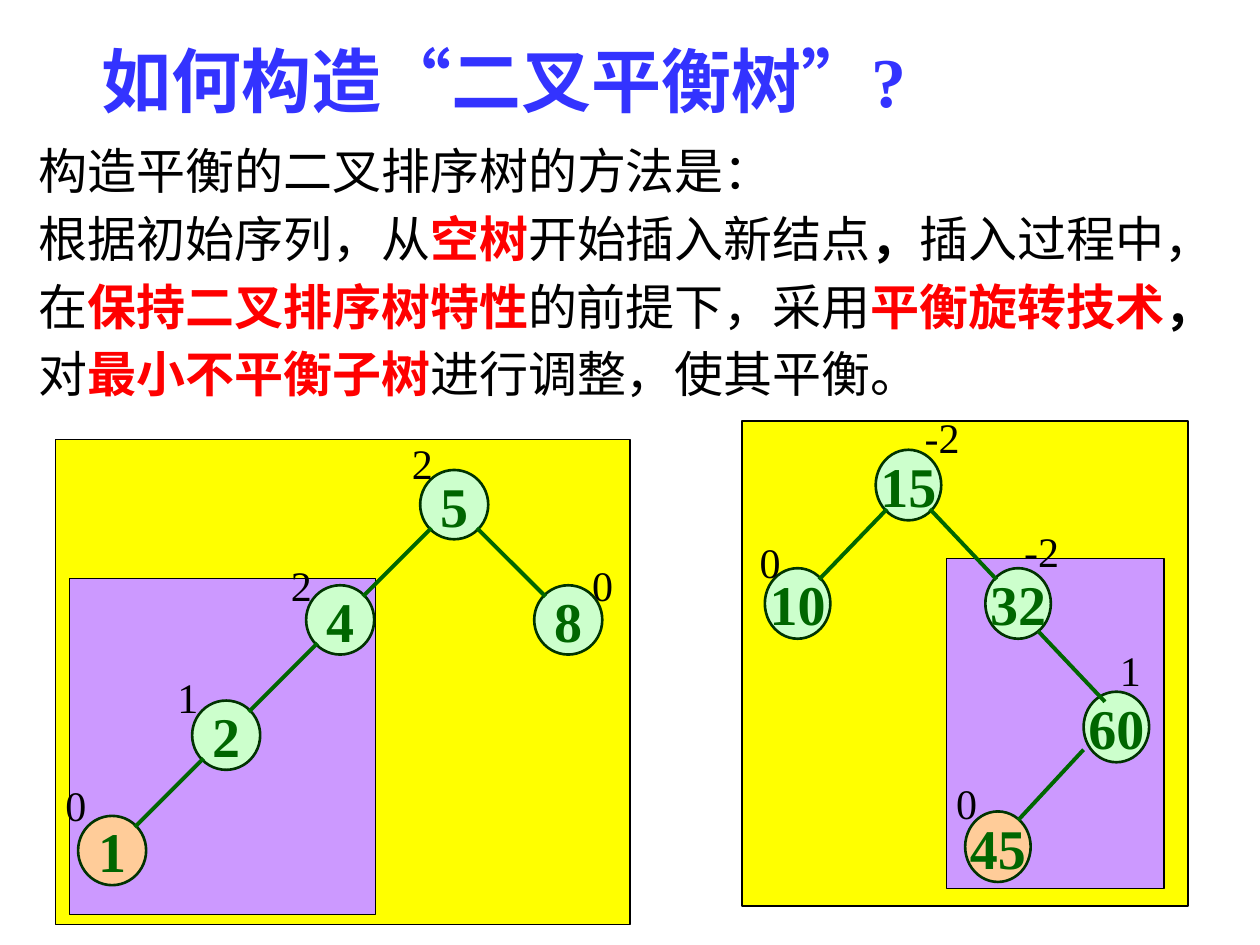
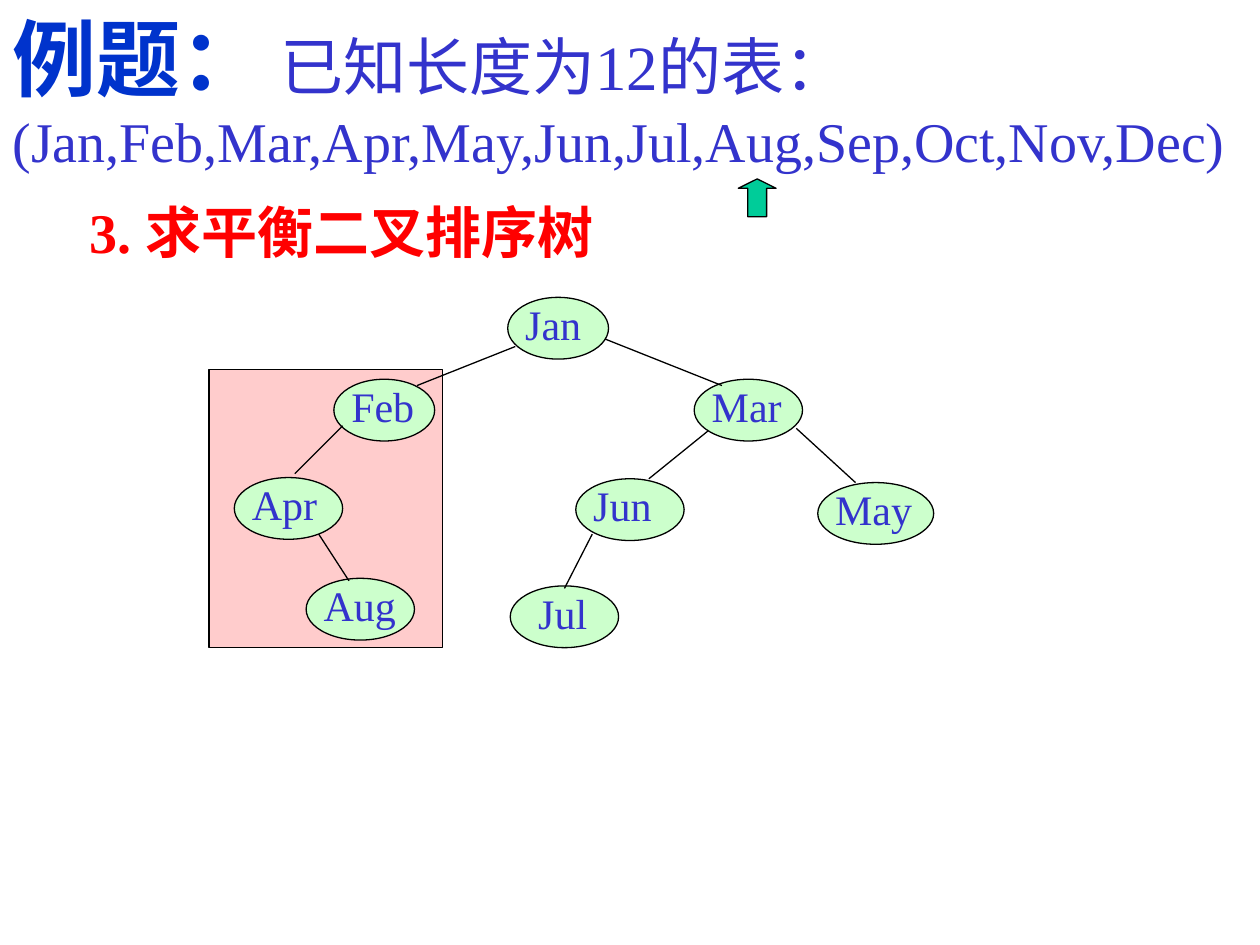
from pptx import Presentation
from pptx.util import Cm, Pt
from pptx.dml.color import RGBColor
from pptx.enum.shapes import MSO_SHAPE as Shape, MSO_CONNECTOR as Link
from pptx.enum.text import PP_ALIGN as Align, MSO_ANCHOR as Anchor, MSO_AUTO_SIZE as Auto
from pptx.oxml.ns import qn
from lxml.etree import SubElement

FONT = "Times New Roman"
HEX = {
    "black": "000000", "red": "FF0000", "title": "3333FF", "text": "3333CC",
    "head": "0033CC", "yellow": "FFFF00", "purple": "CC99FF", "pink": "FFCCCC",
    "node": "CCFFCC", "new": "FFCC99", "rim": "003300", "green": "006600",
    "arrow": "00CC99",
}

# Content, places in inches. A run is (text, size, colour, bold).
TITLE = [[("如何构造“二叉平衡树”?", 40, "title", True)]]
BODY = [
    [("构造平衡的二叉排序树的方法是：", 28, "black", False)],
    [(text, 28, tone, bold) for text, tone, bold in [
        ("根据初始序列，从", "black", False),
        ("空树", "red", True),
        ("开始插入新结点", "black", False),
        ("，", "black", True),
        ("插入过程中，在", "black", False),
        ("保持二叉排序树特性", "red", True),
        ("的前提下，采用", "black", False),
        ("平衡旋转技术", "red", True),
        ("，", "black", True),
        ("对", "black", False),
        ("最小不平衡子树", "red", True),
        ("进行调整，使其平衡。", "black", False),
    ]],
]
PANELS = [
    ("yellow", 5.89, 3.34, 3.54, 3.85), ("yellow", 0.44, 3.49, 4.56, 3.85),
    ("purple", 7.51, 4.43, 1.73, 2.62), ("purple", 0.55, 4.59, 2.43, 2.67),
]
# Node: key -> left, top, balance factor and its place
COL = [0.62 + 0.905 * i for i in range(5)]
ROW = [3.73 + 0.915 * i for i in range(4)]
TREES = [
    {"size": (0.54, 0.55), "new": "1", "label": 0.49,
     "nodes": {"5": (COL[3], ROW[0], "2", 3.17, 3.42),
               "4": (COL[2], ROW[1], "2", 2.21, 4.39),
               "8": (COL[4], ROW[1], "0", 4.6, 4.39),
               "2": (COL[1], ROW[2], "1", 1.31, 5.28),
               "1": (COL[0], ROW[3], "0", 0.42, 6.14)},
     "edges": [("5", "4"), ("5", "8"), ("4", "2"), ("2", "1")], "lines": []},
    {"size": (0.52, 0.56), "new": "45", "label": 0.51,
     "nodes": {"15": (6.95, 3.57, "-2", 7.24, 3.22),
               "10": (6.07, 4.51, "0", 5.93, 4.21),
               "32": (7.82, 4.51, "-2", 8.03, 4.12),
               "60": (8.6, 5.49, "1", 8.79, 5.07),
               "45": (7.66, 6.44, "0", 7.49, 6.12)},
     "edges": [("15", "10"), ("15", "32")],
     "lines": [(8.24, 5.01, 8.77, 5.57), (8.6, 5.95, 8.08, 6.51)]},
]

TASK = [
    [("例题：", 48, "head", True), (" ", 40, "black", False),
     ("已知长度为12的表：", 36, "text", False)],
    [("(Jan,Feb,Mar,Apr,May,Jun,Jul,Aug,Sep,Oct,Nov,Dec)", 32, "text", False)],
]
STEP = [[("3. 求平衡二叉排序树", 32, "red", True)]]
MONTHS = [
    ("Jan", 4.03, 2.36, 0.8), ("Feb", 2.65, 3.01, 0.8),
    ("Mar", 5.51, 3.01, 0.86), ("Apr", 1.86, 3.79, 0.86),
    ("May", 6.49, 3.83, 0.92), ("Jun", 4.57, 3.8, 0.86),
    (" Jul", 4.05, 4.65, 0.86), ("Aug", 2.43, 4.59, 0.86),
]
BRANCHES = [
    (4.09, 2.75, 3.31, 3.06), (4.8, 2.69, 5.73, 3.06),
    (2.72, 3.38, 2.34, 3.76), (6.32, 3.4, 6.79, 3.83),
    (5.62, 3.42, 5.15, 3.8), (4.7, 4.24, 4.48, 4.67),
    (2.53, 4.24, 2.77, 4.61),
]


# Helpers
def place(*nums):
    return [Cm(2.54 * n) for n in nums]


def tone(name):
    return RGBColor.from_string(HEX[name])


def write(frame, paras, lead=None, align=None):
    for i, runs in enumerate(paras):
        para = frame.paragraphs[0] if i == 0 else frame.add_paragraph()
        para.line_spacing, para.alignment = lead, align
        for text, size, hue, bold in runs:
            run = para.add_run()
            run.text = text
            font = run.font
            font.name, font.size, font.bold = FONT, Pt(size), bold
            font.color.rgb = tone(hue)


def add_text(slide, paras, at, lead=None, grow=True):
    frame = slide.shapes.add_textbox(*place(*at)).text_frame
    frame.word_wrap = True
    frame.auto_size = Auto.SHAPE_TO_FIT_TEXT if grow else Auto.NONE
    write(frame, paras, lead)


def add_form(slide, kind, at, fill, rim="black", width=0.75):
    form = slide.shapes.add_shape(kind, *place(*at))
    form.shadow.inherit = False
    form.fill.solid()
    form.fill.fore_color.rgb = tone(fill)
    form.line.color.rgb = tone(rim)
    form.line.width = Pt(width)
    return form


def add_line(slide, ends, hue="black", width=0.75):
    line = slide.shapes.add_connector(Link.STRAIGHT, *place(*ends))
    line.line.color.rgb = tone(hue)
    line.line.width = Pt(width)
    SubElement(line._element.spPr, qn("a:effectLst"))


def add_tree(slide, tree):
    wide, high = tree["size"]
    nodes = tree["nodes"]
    for key, (x, y, *_) in nodes.items():
        fill = "new" if key == tree["new"] else "node"
        form = add_form(slide, Shape.OVAL, (x, y, wide, high), fill, "rim", 1.5)
        frame = form.text_frame
        frame.word_wrap = False
        frame.vertical_anchor = Anchor.MIDDLE
        write(frame, [[(key, 32, "green", True)]], align=Align.CENTER)
    # An edge leaves and enters a node a set way in from its box
    near, far, edge = 0.09, wide - 0.09, high - 0.09
    lines = list(tree["lines"])
    for top, low in tree["edges"]:
        (x1, y1), (x2, y2) = nodes[top][:2], nodes[low][:2]
        out, into = (near, far) if x2 < x1 else (far, near)
        lines.append((x1 + out, y1 + edge, x2 + into, y2 + 0.09))
    for ends in lines:
        add_line(slide, ends, "green", 2.25)
    for _, _, mark, x, y in nodes.values():
        add_text(slide, [[(mark, 24, "black", False)]], (x, y, tree["label"], 0.5))


deck = Presentation()
deck.slide_width, deck.slide_height = place(10, 7.5)
blank = deck.slide_layouts[6]

# Slide 1: building a balanced tree
slide = deck.slides.add_slide(blank)
for fill, *at in PANELS:
    add_form(slide, Shape.RECTANGLE, at, fill)
add_text(slide, BODY, (0.21, 1, 9.66, 2.27), lead=1.15)
add_text(slide, TITLE, (0.71, 0.25, 7.5, 0.83), grow=False)
for tree in TREES:
    add_tree(slide, tree)

# Slide 2: the months example
slide = deck.slides.add_slide(blank)
add_form(slide, Shape.RECTANGLE, (1.66, 2.93, 1.85, 2.21), "pink")
add_text(slide, TASK, (0, 0, 10, 1.43))
for name, x, y, wide in MONTHS:
    add_form(slide, Shape.OVAL, (x, y, wide, 0.49), "node")
    add_text(slide, [[(name, 24, "text", False)]],
             (x + 0.04, y - 0.04, wide - 0.07, 0.5))
for ends in BRANCHES:
    add_line(slide, ends)
add_text(slide, STEP, (0.61, 1.52, 4.35, 0.63))
arrow = add_form(slide, Shape.UP_ARROW, (5.86, 1.42, 0.3, 0.3), "arrow")
arrow.adjustments[0], arrow.adjustments[1] = 0.5, 0.25

deck.save("out.pptx")
